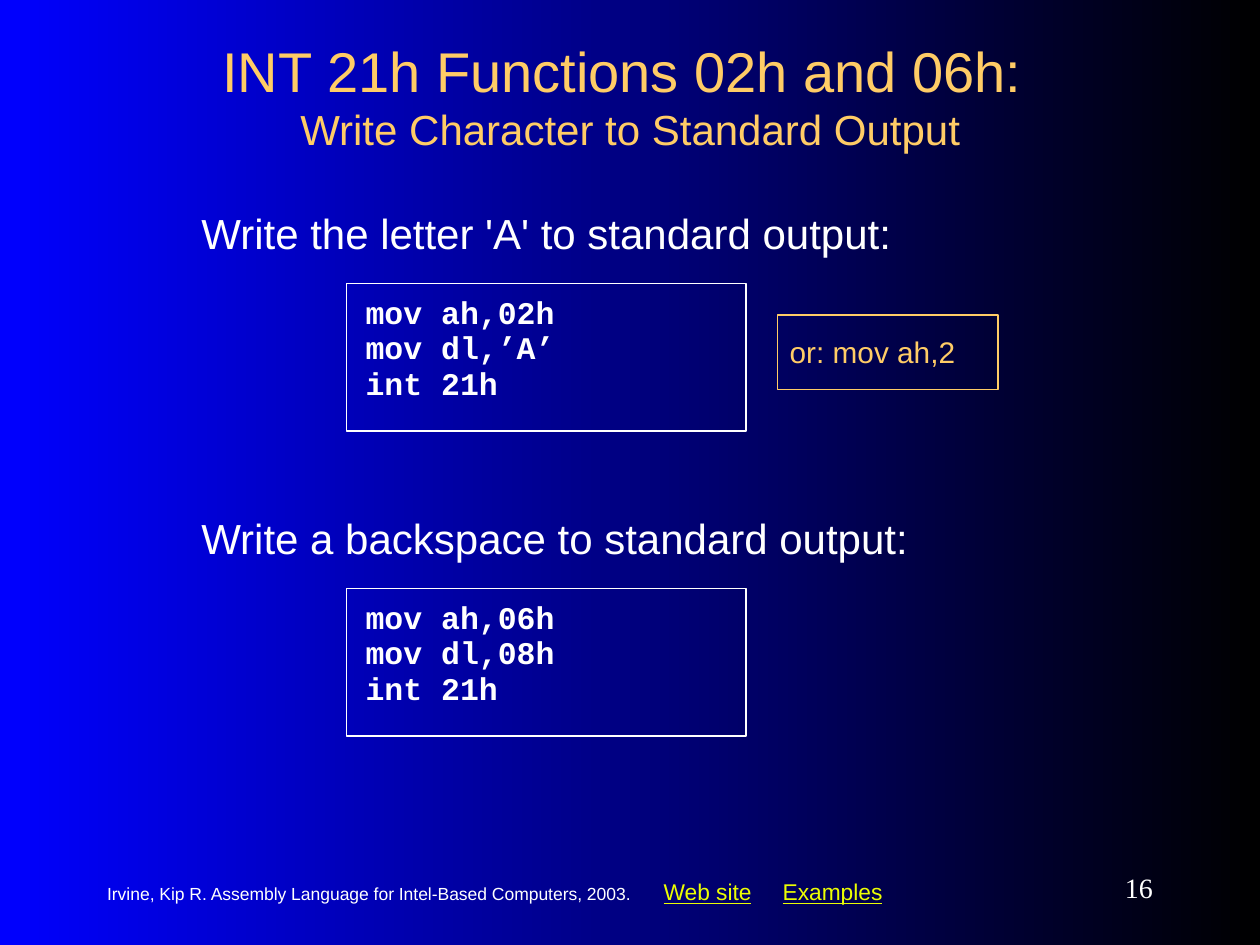
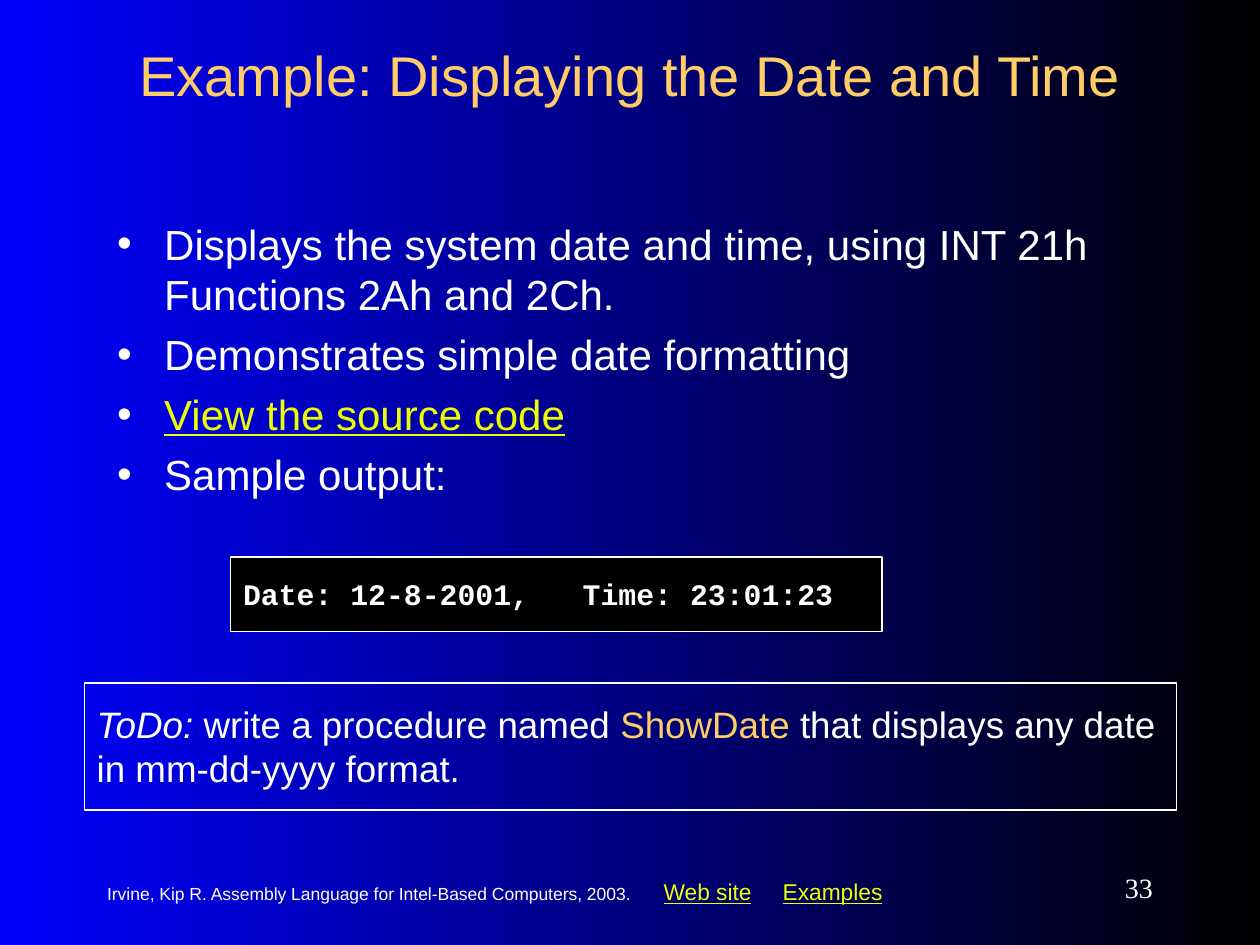
from dataclasses import dataclass
from typing import Any

from lxml import etree
from pptx import Presentation
from pptx.dml.color import RGBColor
from pptx.enum import shapes, text
from pptx.oxml import ns
from pptx.util import Cm, Pt

WHITE, BLACK, BLUE = "FFFFFF", "000000", "0000FF"
GOLD, LINK = "FFCC66", "ECFE02"
SANS, MONO, SERIF = "Arial", "Courier New", "Times New Roman"
CITATION = "Irvine, Kip R. Assembly Language for Intel-Based Computers, 2003."
LINKED = {"color": LINK, "underline": True}
MIDDLE = text.MSO_ANCHOR.MIDDLE


@dataclass
class Box:
    """A place on the slide, in centimetres."""
    left: float
    top: float
    width: float
    height: float

    def lengths(self) -> tuple:
        return Cm(self.left), Cm(self.top), Cm(self.width), Cm(self.height)


@dataclass
class Example:
    heading: str
    code: tuple


EXAMPLES = (
    Example("Write the letter 'A' to standard output:",
            ("mov ah,02h", "mov dl,’A’", "int 21h")),
    Example("Write a backspace to standard output:",
            ("mov ah,06h", "mov dl,08h", "int 21h")),
)
EXAMPLE_STEP = 6.15


def rgb(hex_color: str) -> RGBColor:
    return RGBColor.from_string(hex_color)


def write(p: Any, words: str, size: float, font: str = SANS, color: str = WHITE,
          bold: bool = False, italic: bool = False, underline: bool = False) -> None:
    """Append one formatted run to a paragraph."""
    r = p.add_run()
    r.text = words
    f = r.font
    f.size, f.name, f.color.rgb = Pt(size), font, rgb(color)
    f.bold, f.italic, f.underline = bold, italic, underline


def paragraph(tf: Any, first: bool, gap: float = 0, spacing: float = 1.0,
              align: Any = text.PP_ALIGN.LEFT) -> Any:
    """Return the first paragraph, or a new one with a gap above it."""
    p = tf.paragraphs[0] if first else tf.add_paragraph()
    p.space_before = Pt(0 if first else gap)
    p.line_spacing, p.alignment = spacing, align
    return p


def set_bullet(p: Any, char: str = "") -> None:
    """Give a paragraph a hanging bullet, or none at all."""
    pPr = p._p.get_or_add_pPr()
    indent = Cm(0.95) if char else 0
    pPr.set("marL", str(indent))
    pPr.set("indent", str(-indent))
    if not char:
        etree.SubElement(pPr, ns.qn("a:buNone"))
        return
    clr = etree.SubElement(pPr, ns.qn("a:buClr"))
    etree.SubElement(clr, ns.qn("a:srgbClr"), val=WHITE)
    etree.SubElement(pPr, ns.qn("a:buChar"), char=char)


def set_tab(p: Any, position: float) -> None:
    tabs = etree.SubElement(p._p.get_or_add_pPr(), ns.qn("a:tabLst"))
    etree.SubElement(tabs, ns.qn("a:tab"), pos=str(Cm(position)), algn="l")


def frame(sp: Any, inset_x: float = 0.25, inset_y: float = 0.13,
          anchor: Any = text.MSO_ANCHOR.TOP) -> Any:
    """Prepare a shape's text frame."""
    tf = sp.text_frame
    tf.word_wrap, tf.auto_size = True, text.MSO_AUTO_SIZE.NONE
    tf.vertical_anchor = anchor
    tf.margin_left = tf.margin_right = Cm(inset_x)
    tf.margin_top = tf.margin_bottom = Cm(inset_y)
    return tf


def place(sp: Any, box: Box) -> None:
    sp.left, sp.top, sp.width, sp.height = box.lengths()


def text_box(s: Any, box: Box, **insets: Any) -> Any:
    return frame(s.shapes.add_textbox(*box.lengths()), **insets)


def panel(s: Any, box: Box, line: str = WHITE, fill: str = "",
          inset_x: float = 0.25, inset_y: float = 0.38) -> Any:
    """Draw an outlined rectangle and return its text frame."""
    sp = s.shapes.add_shape(shapes.MSO_SHAPE.RECTANGLE, *box.lengths())
    sp.shadow.inherit = False
    if fill:
        sp.fill.solid()
        sp.fill.fore_color.rgb = rgb(fill)
    else:
        sp.fill.background()
    sp.line.color.rgb, sp.line.width = rgb(line), Pt(0.75)
    return frame(sp, inset_x, inset_y)


def add_slide(prs: Any, number: int, title: str, top: float, subtitle: str = "") -> Any:
    """Add a slide with the shared title style and footer."""
    s = prs.slides.add_slide(prs.slide_layouts[1])
    sp = s.shapes.title
    place(sp, Box(1.91, top, 21.59, 1.7))
    p = paragraph(frame(sp, anchor=MIDDLE), True, align=text.PP_ALIGN.CENTER)
    write(p, title, 32, color=GOLD)
    if subtitle:
        p.add_line_break()
        write(p, subtitle, 24, color=GOLD)

    # Footer: links, citation, page number
    p = paragraph(text_box(s, Box(13.13, 17.32, 7.62, 1.32), inset_y=0.38), True)
    set_tab(p, 2.4)
    write(p, "Web site", 13, **LINKED)
    write(p, "\t", 13)
    write(p, "Examples", 13, **LINKED)
    p = paragraph(text_box(s, Box(1.91, 17.6, 11.23, 0.84), anchor=MIDDLE), True)
    write(p, CITATION, 10)
    p = paragraph(text_box(s, Box(20.75, 17.35, 2.74, 1.07), anchor=MIDDLE), True,
                  align=text.PP_ALIGN.RIGHT)
    write(p, str(number), 16, SERIF)
    return s


def functions_slide(prs: Any) -> None:
    s = add_slide(prs, 16, "INT 21h Functions 02h and 06h: ", 1.07,
                  "Write Character to Standard Output")
    for i, example in enumerate(EXAMPLES):
        # The first heading fills the body placeholder
        shift = i * EXAMPLE_STEP
        box = Box(3.81, 4.06 + shift, 17.98, 5.72)
        if i == 0:
            place(s.placeholders[1], box)
            tf = frame(s.placeholders[1])
        else:
            tf = text_box(s, box)
        p = paragraph(tf, True)
        set_bullet(p)
        write(p, example.heading, 24)

        tf = panel(s, Box(6.99, 5.72 + shift, 8.05, 2.97), inset_x=0.38, inset_y=0.51)
        for n, code in enumerate(example.code):
            write(paragraph(tf, n == 0, gap=9.6, spacing=0.5), code, 18, MONO, bold=True)

    # Alternative notation
    tf = panel(s, Box(15.67, 6.35, 4.45, 1.5), line=GOLD)
    write(paragraph(tf, True), "or: mov ah,2", 17, color=GOLD)


def date_time_slide(prs: Any) -> None:
    s = add_slide(prs, 33, "Example: Displaying the Date and Time", 0.64)
    body = s.placeholders[1]
    place(body, Box(2.11, 4.27, 21.59, 6.55))
    tf = frame(body)
    bullets = (
        ("Displays the system date and time, using INT 21h Functions 2Ah and 2Ch.", {}),
        ("Demonstrates simple date formatting", {}),
        ("View the source code", LINKED),
        ("Sample output:", {}),
    )
    for n, (words, style) in enumerate(bullets):
        p = paragraph(tf, n == 0, gap=5.5)
        set_bullet(p, "•")
        write(p, words, 24, **style)

    # Console output
    tf = panel(s, Box(4.65, 11.23, 13.13, 1.5), fill=BLACK)
    write(paragraph(tf, True), "Date: 12-8-2001,   Time: 23:01:23", 17, MONO, bold=True)

    # Task for the reader
    p = paragraph(panel(s, Box(1.7, 13.77, 22.02, 2.56)), True)
    write(p, "ToDo:", 21, italic=True)
    write(p, " write a procedure named ", 21)
    write(p, "ShowDate", 21, color=GOLD)
    write(p, " that displays any date in mm-dd-yyyy format.", 21)


def main() -> None:
    prs = Presentation()
    prs.slide_width, prs.slide_height = Cm(25.4), Cm(19.05)

    # Shared background
    fill = prs.slide_master.background.fill
    fill.gradient()
    fill.gradient_angle = 0
    for stop, color in zip(fill.gradient_stops, (BLUE, BLACK)):
        stop.color.rgb = rgb(color)

    functions_slide(prs)
    date_time_slide(prs)
    prs.save("out.pptx")


if __name__ == "__main__":
    main()
